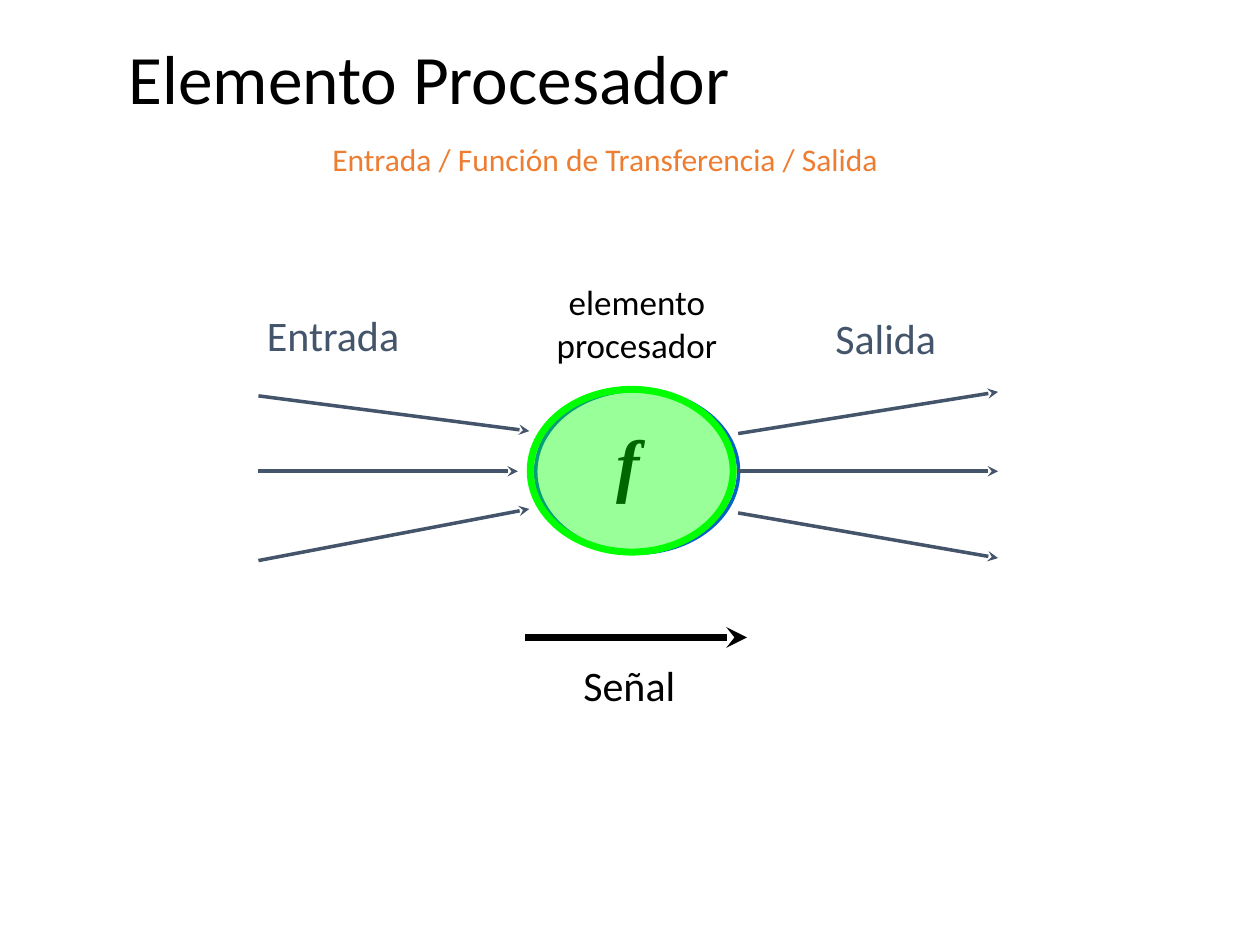
from lxml import etree
from pptx import Presentation
from pptx import util as u
from pptx.dml.color import RGBColor
from pptx.enum import shapes, text
from pptx.oxml.ns import qn

COLORS = {
    "black": "000000",
    "slate": "44546A",
    "orange": "ED7D31",
    "blue": "0563C1",
    "green": "00FF00",
}
TITLE = ("Elemento Procesador", (2.34, 1.02, 21.34, 1.27))
LABELS = [
    (["Señal"], (11.51, 13.18, 2.67, 1.27), 24, "black"),
    (["Entrada"], (5.13, 6.12, 3.48, 1.27), 24, "slate"),
    (["Salida"], (16.59, 6.17, 2.87, 1.27), 24, "slate"),
    (["elemento", "procesador"], (10.82, 5.54, 4.04, 1.96), 20, "black"),
    (["Entrada / Función de Transferencia / Salida"], (6.45, 2.69, 12.75, 1.02), 18, "orange"),
]
FUNCTION = (["f"], (12.17, 8.33, 1.32, 1.93), 40, "black")
NODE_SIZE = (4.09, 3.28)
NODE_OUTLINE = (10.8, 7.87)
NODE_HIGHLIGHT = (10.69, 7.85)
INPUT_LEFT, OUTPUT_LEFT, OUTPUT_RIGHT = 5.21, 14.88, 20.12
INPUTS = [(7.98, 10.67, 8.69), (9.5, 10.44, 9.5), (11.3, 10.67, 10.26)]
OUTPUTS = [(8.74, 7.9), (9.5, 9.5), (10.34, 11.25)]
SIGNAL = (10.59, 12.85, 15.06, 12.85)


def color(name):
    return RGBColor.from_string(COLORS[name])


def lengths(values):
    return [u.Cm(value) for value in values]


def add_run(paragraph, words, size, color_name, font="Calibri"):
    run = paragraph.add_run()
    run.text = words
    run.font.name = font
    run.font.size = u.Pt(size)
    run.font.color.rgb = color(color_name)
    return run


def add_label(slide, lines, box, size, color_name, font="Calibri"):
    frame = slide.shapes.add_textbox(*lengths(box)).text_frame
    frame.word_wrap = False
    frame.auto_size = text.MSO_AUTO_SIZE.SHAPE_TO_FIT_TEXT
    runs = []
    for index, line in enumerate(lines):
        paragraph = frame.add_paragraph() if index else frame.paragraphs[0]
        if len(lines) > 1:
            paragraph.alignment = text.PP_ALIGN.CENTER
        runs.append(add_run(paragraph, line, size, color_name, font))
    return runs


def add_arrow(slide, ends, color_name, width):
    arrow = slide.shapes.add_connector(shapes.MSO_CONNECTOR.STRAIGHT, *lengths(ends))
    arrow.line.color.rgb = color(color_name)
    arrow.line.width = u.Pt(width)
    etree.SubElement(arrow.line._get_or_add_ln(), qn("a:tailEnd"), type="stealth")
    etree.SubElement(arrow._element.spPr, qn("a:effectLst"))


def add_node(slide, corner, color_name, width):
    node = slide.shapes.add_shape(shapes.MSO_SHAPE.OVAL, *lengths(corner + NODE_SIZE))
    node.shadow.inherit = False
    node.fill.background()
    node.line.color.rgb = color(color_name)
    node.line.width = u.Pt(width)
    return node


def fill_transparent(shape, color_name, opacity):
    shape.fill.solid()
    shape.fill.fore_color.rgb = color(color_name)
    fill_color = shape._element.spPr.find(qn("a:solidFill"))[0]
    etree.SubElement(fill_color, qn("a:alpha"), val=str(opacity * 1000))


def add_title(slide):
    words, box = TITLE
    title = slide.shapes.title
    title.left, title.top, title.width, title.height = lengths(box)
    frame = title.text_frame
    frame.auto_size = text.MSO_AUTO_SIZE.NONE
    frame.vertical_anchor = text.MSO_ANCHOR.MIDDLE
    paragraph = frame.paragraphs[0]
    paragraph.alignment = text.PP_ALIGN.LEFT
    paragraph.line_spacing = 0.9
    add_run(paragraph, words, 39.6, "black")


def main():
    presentation = Presentation()
    presentation.slide_width, presentation.slide_height = lengths((25.4, 19.05))
    slide = presentation.slides.add_slide(presentation.slide_layouts[5])

    add_title(slide)
    add_node(slide, NODE_OUTLINE, "blue", 2)
    for start, right, end in INPUTS:
        add_arrow(slide, (INPUT_LEFT, start, right, end), "slate", 2)
    for start, end in OUTPUTS:
        add_arrow(slide, (OUTPUT_LEFT, start, OUTPUT_RIGHT, end), "slate", 2)
    add_arrow(slide, SIGNAL, "black", 4)
    for label in LABELS:
        add_label(slide, *label)
    for run in add_label(slide, *FUNCTION, font="Times New Roman"):
        run.font.bold = True
        run.font.italic = True
    fill_transparent(add_node(slide, NODE_HIGHLIGHT, "green", 4), "green", 40)

    presentation.save("out.pptx")


if __name__ == "__main__":
    main()
